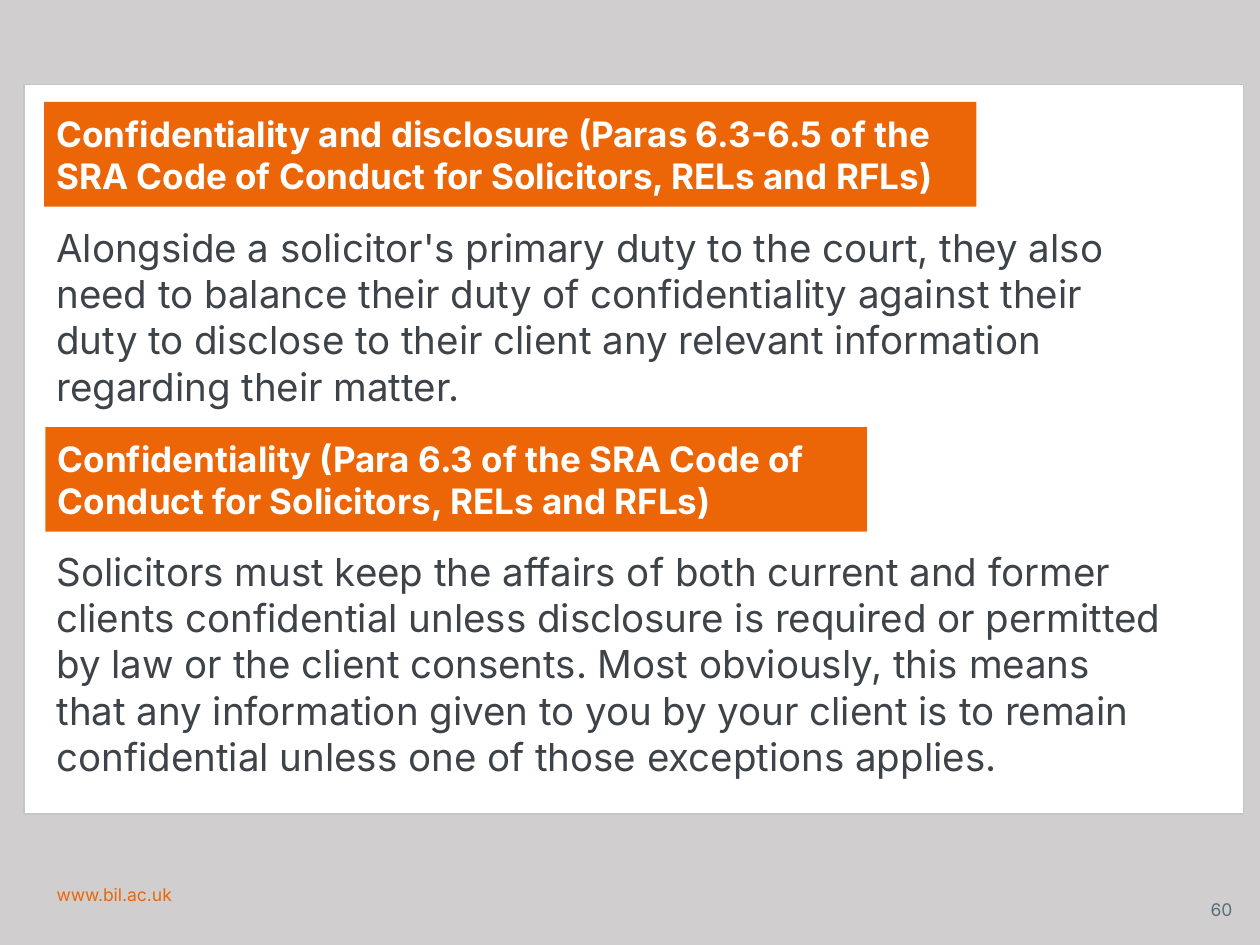
from pptx import Presentation
from pptx.dml.color import RGBColor
from pptx.enum.shapes import MSO_SHAPE as Shape
from pptx.enum.text import MSO_ANCHOR as Anchor, PP_ALIGN as Align
from pptx.util import Inches, Pt

FONT = "Inter"
BACKGROUND = RGBColor(0xD0, 0xCE, 0xCE)
WHITE = RGBColor(0xFF, 0xFF, 0xFF)
BORDER = RGBColor(0xC3, 0xC6, 0xC8)
ORANGE = RGBColor(0xEC, 0x66, 0x08)
DARK = RGBColor(0x3D, 0x43, 0x48)
SLATE = RGBColor(0x57, 0x6F, 0x78)


def write(shape, text, size, color, bold=False, align=Align.LEFT, anchor=Anchor.TOP):
    frame = shape.text_frame
    frame.word_wrap = True
    frame.vertical_anchor = anchor
    paragraph = frame.paragraphs[0]
    paragraph.alignment = align
    run = paragraph.add_run()
    run.text = text
    run.font.name = FONT
    run.font.size = Pt(size)
    run.font.bold = bold
    run.font.color.rgb = color


def add_rectangle(slide, left, top, width, height, fill):
    shape = slide.shapes.add_shape(
        Shape.RECTANGLE, Inches(left), Inches(top), Inches(width), Inches(height))
    shape.shadow.inherit = False
    shape.fill.solid()
    shape.fill.fore_color.rgb = fill
    shape.line.fill.background()
    return shape


def add_panel(slide):
    panel = add_rectangle(slide, 0.19, 0.67, 9.68, 5.79, WHITE)
    panel.line.color.rgb = BORDER
    panel.line.width = Pt(1)


def add_heading(slide, left, top, width, text):
    heading = add_rectangle(slide, left, top, width, 0.83, ORANGE)
    write(heading, text, 20, WHITE, bold=True, anchor=Anchor.MIDDLE)


def add_text(slide, left, top, width, height, text, size, color, **layout):
    box = slide.shapes.add_textbox(
        Inches(left), Inches(top), Inches(width), Inches(height))
    write(box, text, size, color, **layout)


def main():
    """Build the slide on confidentiality and disclosure."""
    presentation = Presentation()
    presentation.slide_width = Inches(10)
    presentation.slide_height = Inches(7.5)
    slide = presentation.slides.add_slide(presentation.slide_layouts[6])
    slide.background.fill.solid()
    slide.background.fill.fore_color.rgb = BACKGROUND

    add_panel(slide)
    add_heading(
        slide, 0.35, 0.81, 7.4,
        "Confidentiality and disclosure (Paras 6.3-6.5 of the SRA Code of "
        "Conduct for Solicitors, RELs and RFLs)")
    add_text(
        slide, 0.35, 1.73, 9, 1.6,
        "Alongside a solicitor's primary duty to the court, they also need to "
        "balance their duty of confidentiality against their duty to disclose to "
        "their client any relevant information regarding their matter.",
        22, DARK)
    add_heading(
        slide, 0.36, 3.39, 6.52,
        "Confidentiality (Para 6.3 of the SRA Code of Conduct for Solicitors, "
        "RELs and RFLs)")
    add_text(
        slide, 0.35, 4.3, 9, 2.02,
        "Solicitors must keep the affairs of both current and former clients "
        "confidential unless disclosure is required or permitted by law or the "
        "client consents. Most obviously, this means that any information given "
        "to you by your client is to remain confidential unless one of those "
        "exceptions applies.",
        22, DARK)
    add_text(slide, 0.35, 6.97, 6.69, 0.39, "www.bil.ac.uk", 10, ORANGE)
    add_text(slide, 9.41, 7.06, 0.47, 0.32, "60", 10, SLATE,
             align=Align.RIGHT, anchor=Anchor.MIDDLE)
    presentation.save("out.pptx")


if __name__ == "__main__":
    main()
